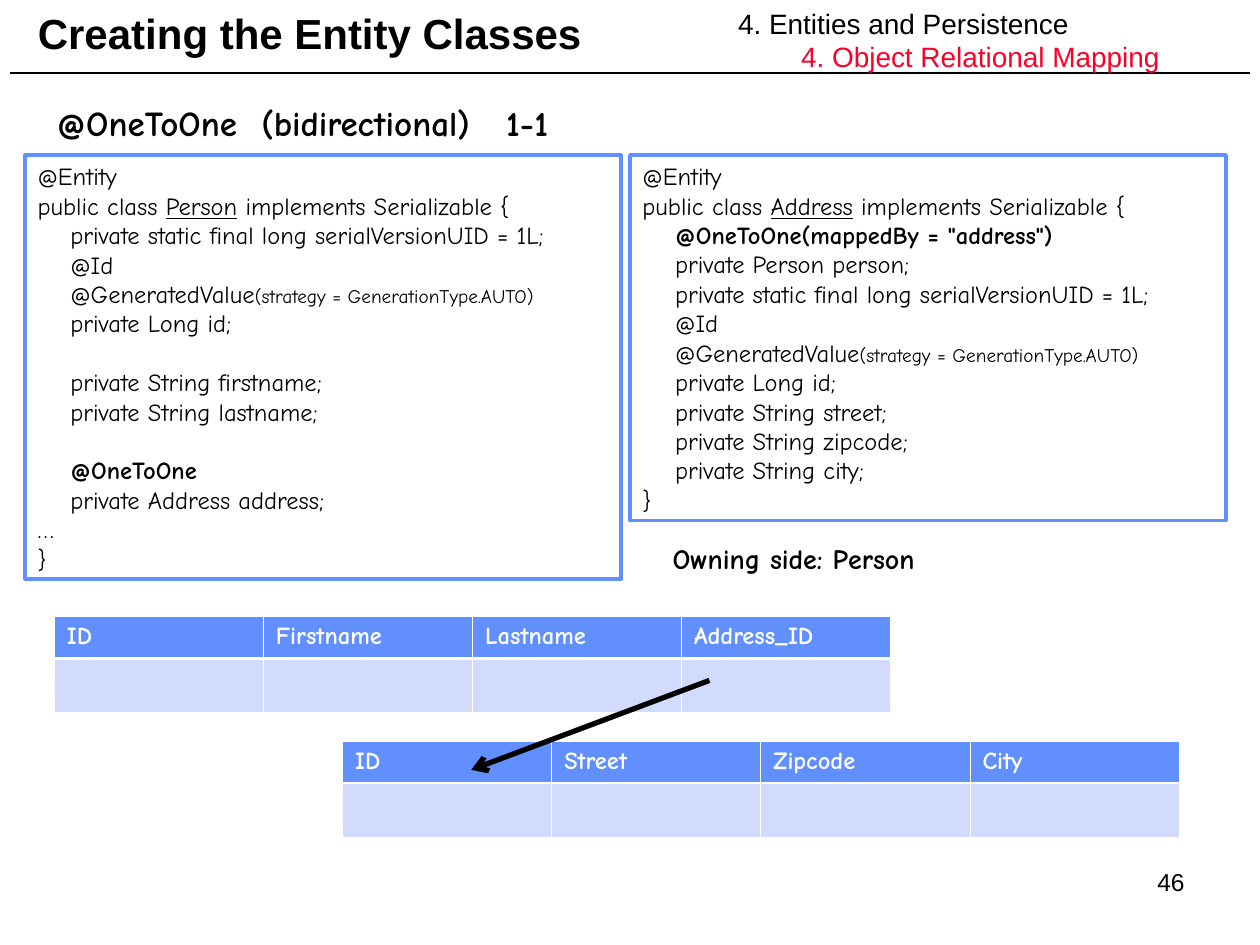
from lxml.etree import SubElement
from pptx import Presentation
from pptx.dml.color import RGBColor
from pptx.enum.shapes import MSO_CONNECTOR, MSO_SHAPE
from pptx.enum.text import MSO_ANCHOR, MSO_AUTO_SIZE, PP_ALIGN
from pptx.oxml.ns import qn
from pptx.util import Pt

BLACK = RGBColor(0x00, 0x00, 0x00)
WHITE = RGBColor(0xFF, 0xFF, 0xFF)
RED = RGBColor(0xFC, 0x01, 0x28)
BLUE = RGBColor(0x61, 0x8F, 0xFD)
PALE_BLUE = RGBColor(0xD2, 0xDB, 0xFE)
SANS, COMIC = "Arial", "Comic Neue"

# Content: a code line is a list of (text, style) runs, None is a skipped line
TITLE = "Creating the Entity Classes"
SECTION = "4. Entities and Persistence"
SUBSECTION = "4. Object Relational Mapping"
HEADING = "@OneToOne\t(bidirectional)\t1-1"
OWNER = "Owning side: Person"
PAGE = "46"


def class_lines(name):
    return [
        [("@Entity", "")],
        [("public class ", ""), (name, "underline"), (" implements Serializable {", "")],
    ]


KEY_LINES = [
    [("    private static final long serialVersionUID = 1L;", "")],
    [("    @Id", "")],
    [("    @GeneratedValue", ""), ("(strategy = GenerationType.AUTO)", "small")],
    [("    private Long id;", "")],
]
PERSON_CODE = class_lines("Person") + KEY_LINES + [
    None,
    [("    private String firstname;", "")],
    [("    private String lastname;", "")],
    None,
    [("    ", ""), ("@OneToOne", "bold")],
    [("    private Address address;", "")],
    [("…", "")],
    [("}", "")],
]
ADDRESS_CODE = class_lines("Address") + [
    [("    ", ""), ('@OneToOne(mappedBy = "address")', "bold")],
    [("    private Person person;", "")],
] + KEY_LINES + [
    [("    private String street;", "")],
    [("    private String zipcode;", "")],
    [("    private String city;", "")],
    [("}", "")],
]
# (left, code) and (left, top, column names)
CODE_BOXES = [(14.4, PERSON_CODE), (360, ADDRESS_CODE)]
DB_TABLES = [
    (31, 352.1, ["ID", "Firstname", "Lastname", "Address_ID"]),
    (195.8, 423.4, ["ID", "Street", "Zipcode", "City"]),
]
CODE_TOP, CODE_WIDTH, CODE_LINE = 88.6, 340.6, 16.8
COLUMN_WIDTH, HEADER_HEIGHT, ROW_HEIGHT = 119.5, 24.2, 31

deck = Presentation()
deck.slide_width, deck.slide_height = Pt(720), Pt(540)
slide = deck.slides.add_slide(deck.slide_layouts[5])
shapes = slide.shapes


def style_font(font, size, face, color=BLACK, bold=False):
    font.size, font.name, font.bold = Pt(size), face, bold
    font.color.rgb = color


def add_label(text, left, top, width, height, size, face, bold=False):
    frame = shapes.add_textbox(Pt(left), Pt(top), Pt(width), Pt(height)).text_frame
    frame.word_wrap = True
    frame.text = text
    style_font(frame.paragraphs[0].runs[0].font, size, face, bold=bold)
    return frame


def add_line(start, end, width):
    line = shapes.add_connector(MSO_CONNECTOR.STRAIGHT, *map(Pt, start + end))
    line.line.color.rgb = BLACK
    line.line.width = Pt(width)
    SubElement(line._element.spPr, qn("a:effectLst"))
    return line


def add_code(left, code):
    box = shapes.add_shape(MSO_SHAPE.RECTANGLE, Pt(left), Pt(CODE_TOP),
                           Pt(CODE_WIDTH), Pt(len(code) * CODE_LINE + 7.2))
    box.shadow.inherit = False
    box.fill.background()
    box.line.color.rgb = BLUE
    box.line.width = Pt(2)
    frame = box.text_frame
    frame.word_wrap = True
    frame.vertical_anchor = MSO_ANCHOR.TOP
    for i, line in enumerate(code):
        if line is None:
            continue
        paragraph = frame.add_paragraph() if i else frame.paragraphs[0]
        paragraph.alignment = PP_ALIGN.LEFT
        if i and code[i - 1] is None:
            paragraph.space_before = Pt(CODE_LINE)
        for text, style in line:
            run = paragraph.add_run()
            run.text = text
            style_font(run.font, 11 if style == "small" else 14, COMIC, bold=style == "bold")
            run.font.underline = style == "underline"


def add_borders(cell, top, bottom):
    for side, width in (("L", 0.45), ("R", 0.45), ("T", top), ("B", bottom)):
        border = SubElement(cell._tc.get_or_add_tcPr(), qn("a:ln" + side), w=str(Pt(width)))
        SubElement(SubElement(border, qn("a:solidFill")), qn("a:srgbClr"), val=str(WHITE))


def add_db_table(left, top, names):
    table = shapes.add_table(2, len(names), Pt(left), Pt(top), Pt(COLUMN_WIDTH * len(names)),
                             Pt(HEADER_HEIGHT + ROW_HEIGHT)).table
    table.rows[0].height, table.rows[1].height = Pt(HEADER_HEIGHT), Pt(ROW_HEIGHT)
    for i, name in enumerate(names):
        table.columns[i].width = Pt(COLUMN_WIDTH)
        header, value = table.cell(0, i), table.cell(1, i)
        add_borders(header, 0.45, 1.47)
        add_borders(value, 1.47, 0.45)
        for cell, color in ((header, BLUE), (value, PALE_BLUE)):
            cell.fill.solid()
            cell.fill.fore_color.rgb = color
        header.text = name
        style_font(header.text_frame.paragraphs[0].runs[0].font, 14, COMIC, WHITE, True)


# Header: rule, title and section names
add_line((5.8, 41.8), (714.2, 41.8), 1)
title = shapes.title
title.left, title.top, title.width, title.height = Pt(14.4), Pt(0), Pt(423.4), Pt(37.4)
title.text_frame.text = TITLE
title.text_frame.auto_size = MSO_AUTO_SIZE.NONE
title.text_frame.vertical_anchor = MSO_ANCHOR.MIDDLE
title.text_frame.paragraphs[0].alignment = PP_ALIGN.LEFT
style_font(title.text_frame.paragraphs[0].runs[0].font, 24, SANS, bold=True)

sections = add_label(SECTION, 414.7, 0, 326.9, 46.1, 16, SANS)
subsection = sections.add_paragraph()
subsection.text = SUBSECTION
subsection.level = 1
subsection._p.get_or_add_pPr().set("marL", str(Pt(72)))
subsection._p.get_or_add_pPr().set("indent", str(Pt(-36)))
style_font(subsection.runs[0].font, 16, SANS, RED)

# Database tables
for left, top, names in DB_TABLES:
    add_db_table(left, top, names)

# Heading, with its three parts on tab stops
heading = add_label(HEADING, 25.2, 54.7, 402.5, 31.7, 20, COMIC, True).paragraphs[0]
tab_stops = SubElement(heading._p.get_or_add_pPr(), qn("a:tabLst"))
for stop in (117, 257):
    SubElement(tab_stops, qn("a:tab"), pos=str(Pt(stop)), algn="l")
for run in heading.runs:
    style_font(run.font, 20, COMIC, bold=True)

# Entity classes
for left, code in CODE_BOXES:
    add_code(left, code)
add_label(OWNER, 377.3, 306, 209.5, 26.6, 16, COMIC, True)

# Foreign key arrow
foreign_key = add_line((405.4, 388.8), (269.3, 439.9), 3)
SubElement(foreign_key.line._get_or_add_ln(), qn("a:tailEnd"), type="arrow")

# Page number
page = add_label(PAGE, 516.2, 491.8, 167.8, 37.4, 14, SANS)
page.paragraphs[0].alignment = PP_ALIGN.RIGHT

deck.save("out.pptx")
